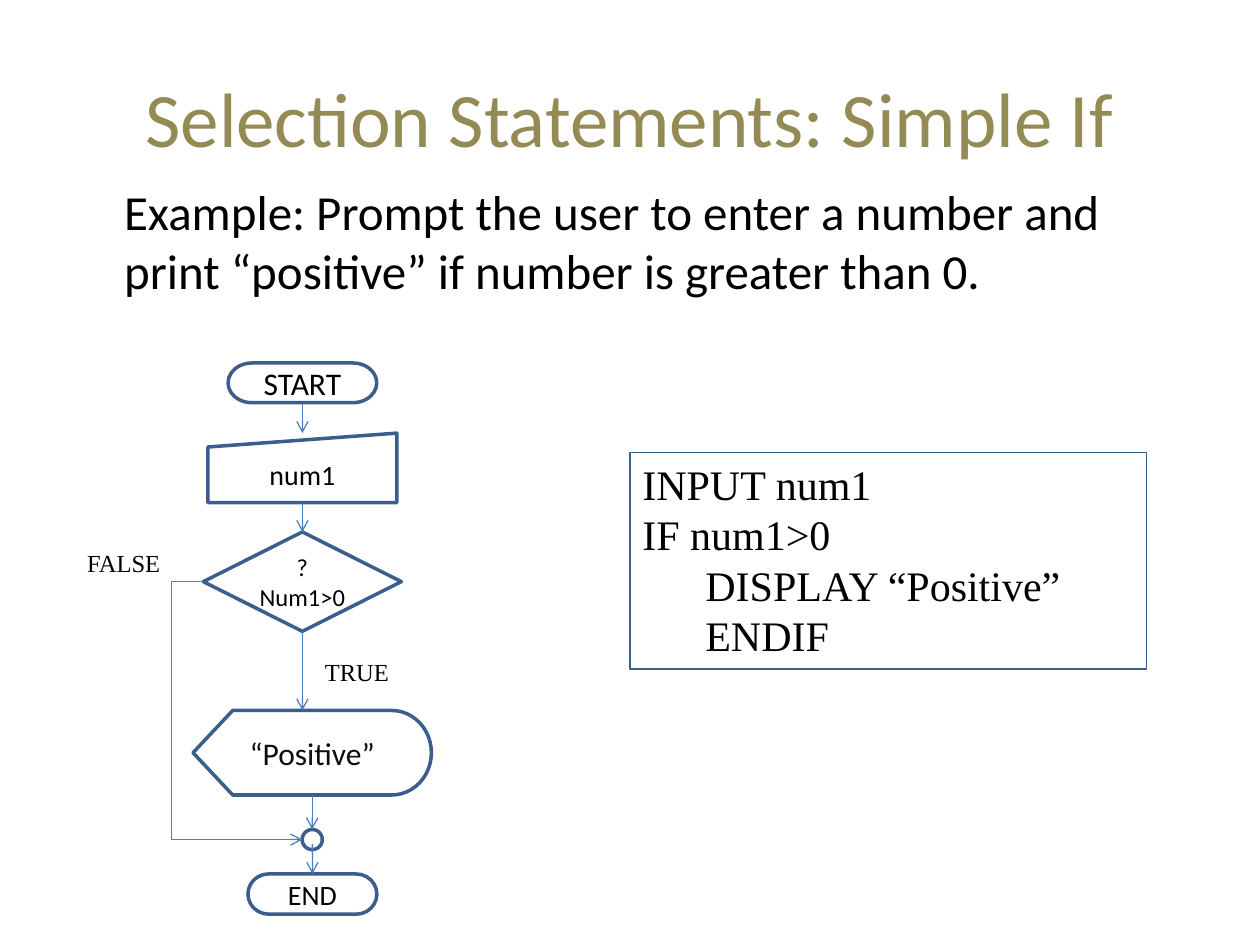
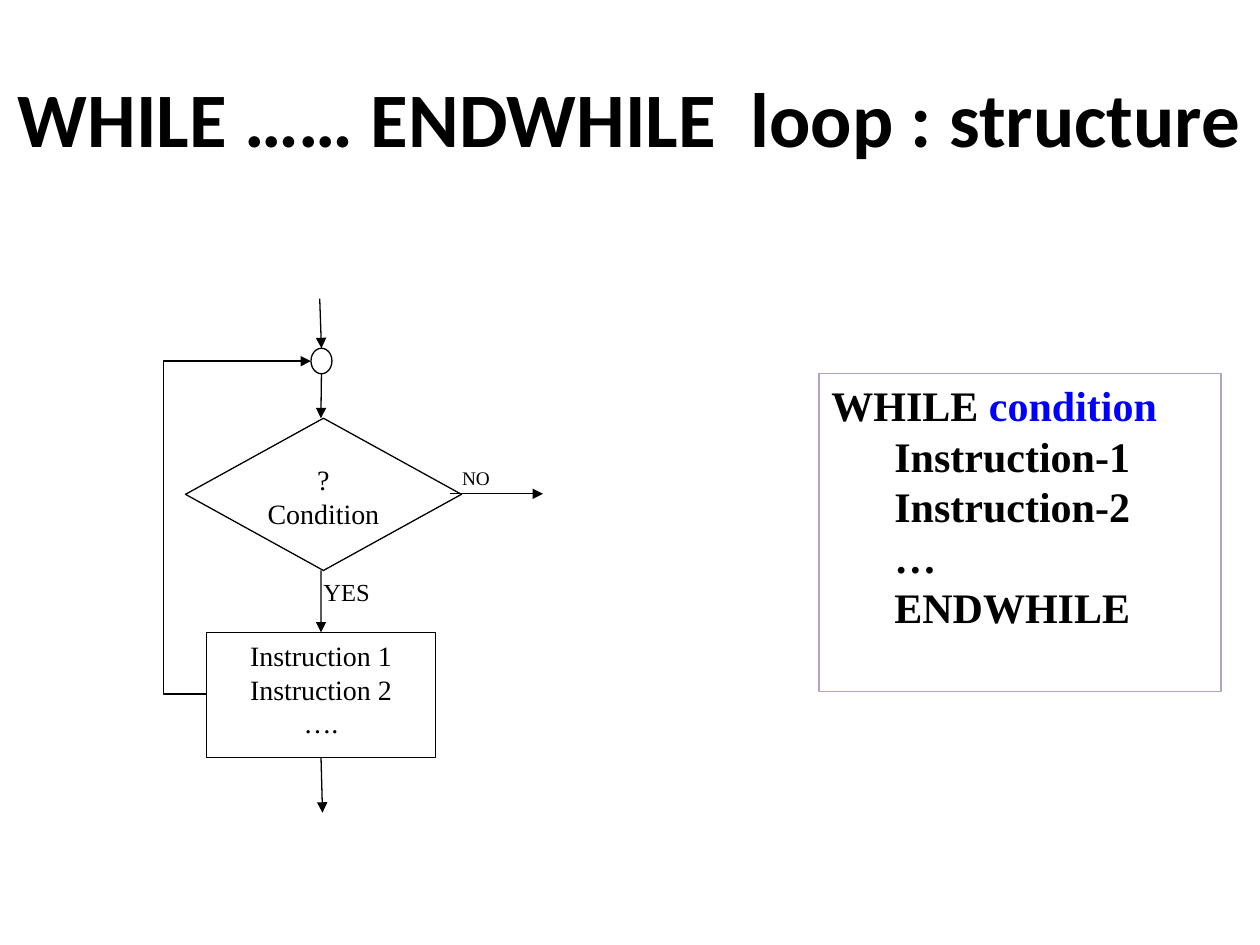
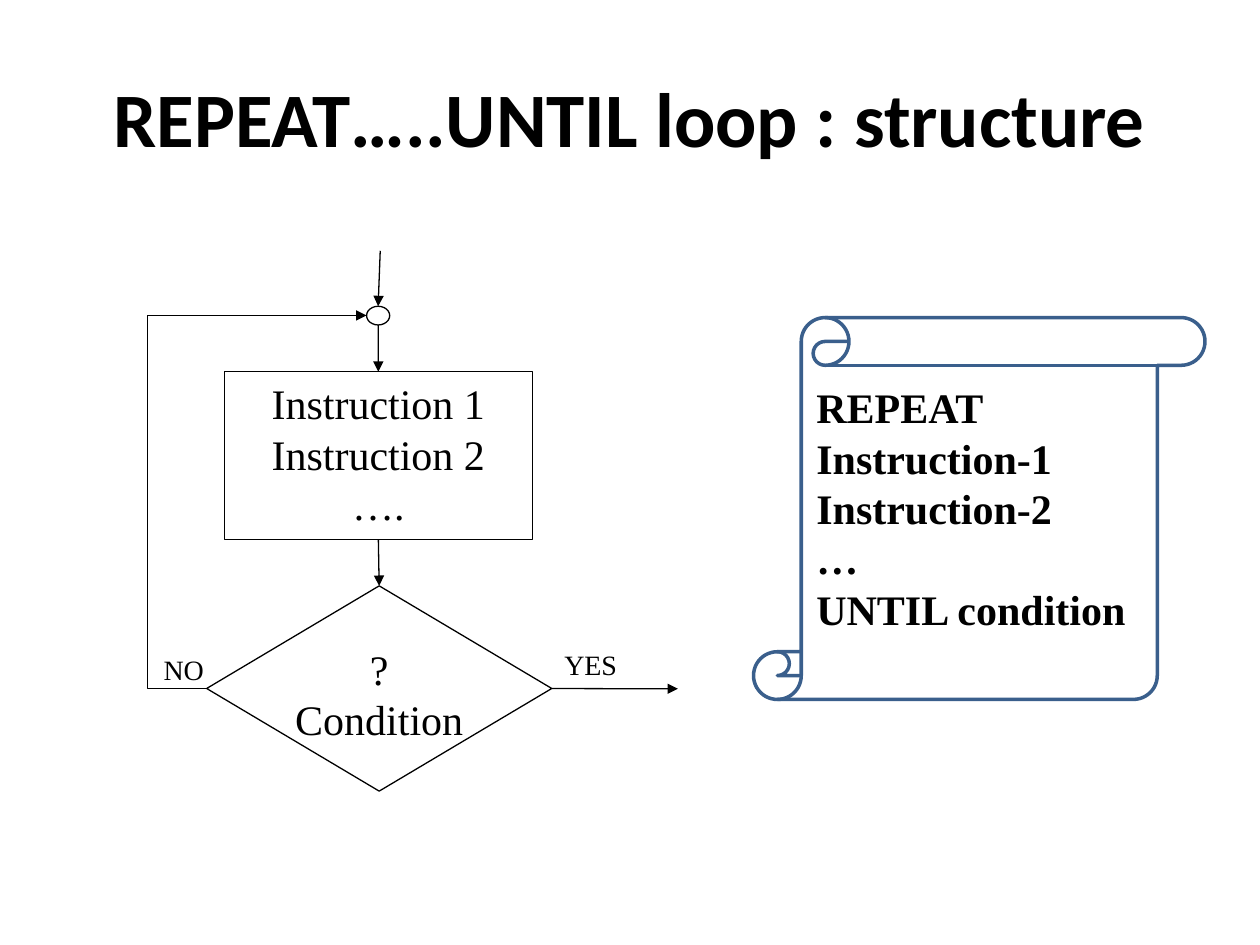
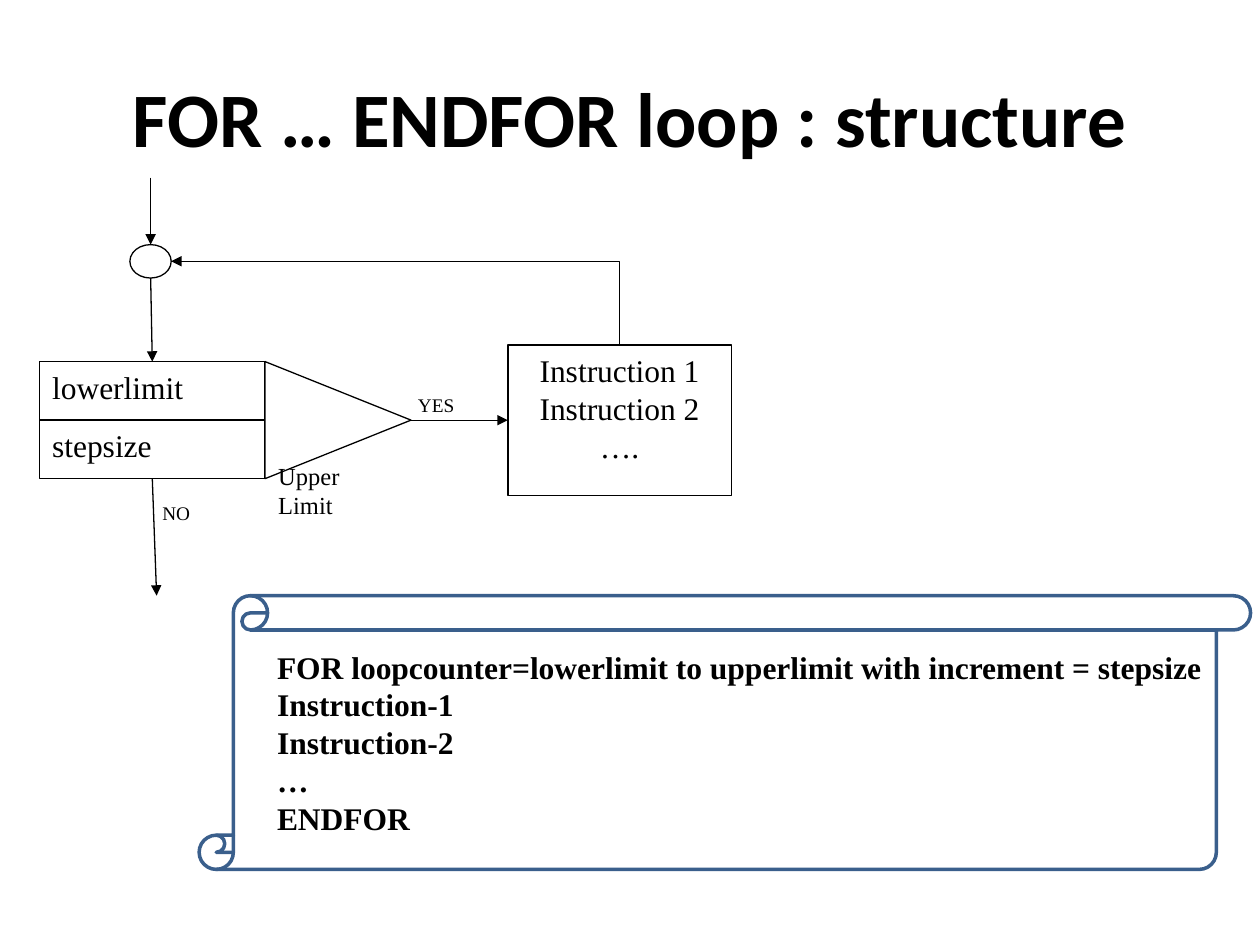
from lxml.etree import SubElement
from pptx import Presentation
from pptx.dml.color import RGBColor
from pptx.enum.shapes import MSO_CONNECTOR as Wire, MSO_SHAPE as Form
from pptx.enum.text import MSO_ANCHOR as Anchor, MSO_AUTO_SIZE as Fit, PP_ALIGN as Align
from pptx.oxml.ns import qn
from pptx.util import Pt

tint = RGBColor.from_string
SERIF, SANS = "Times New Roman", "Calibri"
BLACK, WHITE, BLUE = "000000", "FFFFFF", "3A5F8C"

# Outline looks: line colour, line width, fill
BOLD = (BLUE, 2, None)
THIN = (BLUE, 0.75, None)
LILAC = ("B3A2C7", 0.75, None)
INK = (BLACK, 0.75, WHITE)
# Arrow looks: colour, head
OPEN = ("4B7EBC", "arrow")
SOLID = (BLACK, "triangle")


def put(page, form, box, look=None, text="", size=14, font=SERIF, color=BLACK,
        bold=False, align=Align.LEFT, anchor=Anchor.TOP, side=7.2):
    """Add a preset shape, or a text box when form is None."""
    spot = [Pt(n) for n in box]
    if form is None:
        item = page.shapes.add_textbox(*spot)
    else:
        item = page.shapes.add_shape(form, *spot)
        item.shadow.inherit = False
        edge, width, fill = look
        item.line.color.rgb = tint(edge)
        item.line.width = Pt(width)
        if fill:
            item.fill.solid()
            item.fill.fore_color.rgb = tint(fill)
        else:
            item.fill.background()
    if text:
        frame = item.text_frame
        frame.text = text
        style = {"word_wrap": True, "vertical_anchor": anchor,
                 "margin_left": Pt(side), "margin_right": Pt(side)}
        for key, val in style.items():
            setattr(frame, key, val)
        for para in frame.paragraphs:
            para.alignment = align
            for key, val in {"name": font, "size": Pt(size), "bold": bold}.items():
                setattr(para.runs[0].font, key, val)
            para.runs[0].font.color.rgb = tint(color)
    return item


def link(page, start, end, look=SOLID, bend=None, tip="a:tailEnd"):
    """Join two ends, each a point (x, y) or a (shape, site) pair."""
    kind = Wire.STRAIGHT if bend is None else Wire.ELBOW
    glue = [not isinstance(stop[0], (int, float)) for stop in (start, end)]
    spots = [(0, 0) if g else stop for g, stop in zip(glue, (start, end))]
    wire = page.shapes.add_connector(kind, *[Pt(n) for spot in spots for n in spot])
    if glue[0]:
        wire.begin_connect(*start)
    if glue[1]:
        wire.end_connect(*end)
    color, head = look
    wire.line.color.rgb = tint(color)
    wire.line.width = Pt(0.75)
    props = wire._element.spPr
    SubElement(props.find(qn("a:ln")), qn(tip), type=head)
    SubElement(props, qn("a:effectLst"))
    if bend is not None:
        guides = props.find(qn("a:prstGeom")).find(qn("a:avLst"))
        SubElement(guides, qn("a:gd"), name="adj1", fmla=f"val {round(bend * 100000)}")


deck = Presentation()
deck.slide_width, deck.slide_height = Pt(720), Pt(540)

# Titles: text, layout, left, width, colour, bold
heads = [
    ("Selection Statements: Simple If", 1, 36, 648, "948A54", False),
    ("WHILE …… ENDWHILE  loop : structure", 5, 0, 720, BLACK, True),
    ("REPEAT…..UNTIL loop : structure", 5, 0, 720, BLACK, True),
    ("FOR … ENDFOR loop : structure", 5, 0, 720, BLACK, True),
]
pages = []
for text, layout, left, width, color, bold in heads:
    page = deck.slides.add_slide(deck.slide_layouts[layout])
    title = page.shapes.title
    place = {"left": left, "top": 21.6, "width": width, "height": 90}
    for key, val in place.items():
        setattr(title, key, Pt(val))
    frame = title.text_frame
    frame.text = text
    frame.auto_size = Fit.NONE
    frame.vertical_anchor = Anchor.MIDDLE
    para = frame.paragraphs[0]
    para.alignment = Align.CENTER
    for key, val in {"name": SANS, "size": Pt(44), "bold": bold}.items():
        setattr(para.font, key, val)
    para.font.color.rgb = tint(color)
    pages.append(page)
pick, loop, until, count = pages

mid = {"align": Align.CENTER}
core = {"font": SANS, "anchor": Anchor.MIDDLE, **mid}
steps = "Instruction 1\nInstruction 2\n…."

# Slide 1: simple if
body = pick.placeholders[1]
for key, val in {"left": 36.7, "top": 100, "width": 648, "height": 81.4}.items():
    setattr(body, key, Pt(val))
body.text_frame.text = ("Example: Prompt the user to enter a number and "
                        "print “positive” if number is greater than 0.")
body.text_frame.auto_size = Fit.NONE
para = body.text_frame.paragraphs[0]
para.font.name, para.font.size = SANS, Pt(28)
para.font.color.rgb = tint(BLACK)
props = para._p.get_or_add_pPr()
props.set("marL", str(Pt(27)))
props.set("indent", "0")
SubElement(props, qn("a:buNone"))

start = put(pick, Form.FLOWCHART_TERMINATOR, (130.3, 207.4, 85, 22.7), BOLD,
            "START", 18, **core)
entry = put(pick, Form.FLOWCHART_MANUAL_INPUT, (118.8, 247.5, 108, 39.7), BOLD,
            "num1", 16, **core)
test = put(pick, Form.FLOWCHART_DECISION, (116.2, 304, 113.2, 56.8), BOLD,
           "? Num1>0", 14, side=0, **core)
show = put(pick, Form.FLOWCHART_DISPLAY, (110.3, 406, 136.2, 48.3), BOLD,
           "“Positive”", 18, **{**core, "color": "0D0D0D"})
put(pick, Form.FLOWCHART_CONNECTOR, (172.7, 474, 11.5, 11.5), BOLD)
stop = put(pick, Form.FLOWCHART_TERMINATOR, (141.7, 499.4, 73.7, 23), BOLD,
           "END", 16, **core)
for ends in [((start, 2), (entry, 0)), ((entry, 2), (test, 0)),
             ((test, 2), (172.8, 406)), ((show, 2), (178.4, 474)),
             ((178.5, 482.4), (stop, 0))]:
    link(pick, *ends, OPEN)
link(pick, (116.2, 332.4), (172.7, 479.8), OPEN, bend=-0.32)
put(pick, None, (178.6, 372.2, 67.7, 24.5), text="TRUE")
put(pick, None, (31, 309.6, 67.7, 24.5), text="FALSE", align=Align.RIGHT)
branch = put(pick, Form.RECTANGLE, (360, 258.5, 295.2, 123.8), THIN,
             "INPUT num1\nIF num1>0\nDISPLAY “Positive”\nENDIF", 24)

# Slide 2: while loop
put(loop, None, (177.8, 326.2, 47.5, 27.4), text="YES")
put(loop, None, (257, 262.8, 47.5, 27.4), text="NO", size=11)
test = put(loop, Form.FLOWCHART_DECISION, (106, 239, 157.7, 87), INK,
           "?\nCondition", 16, **mid)
work = put(loop, Form.FLOWCHART_PROCESS, (118.2, 361.4, 130.5, 71.3), INK,
           steps, 16, **mid)
put(loop, Form.OVAL, (177.7, 199, 12, 14.6), INK)
for ends in [((182.7, 170.6), (183.7, 199)), ((183.7, 213.6), (183.4, 239)),
             ((257, 282.2), (310.3, 282.2)), ((183.4, 326), (work, 0)),
             ((work, 2), (184.3, 464.4))]:
    link(loop, *ends)
link(loop, (118.2, 396.7), (177.7, 206.4), bend=-0.42)
cycle = put(loop, Form.RECTANGLE, (468, 213.6, 229.7, 181.6), LILAC,
            "WHILE \nInstruction-1\nInstruction-2\n…\nENDWHILE", 24, bold=True)
run = cycle.text_frame.paragraphs[0].add_run()
run.text = "condition"
for key, val in {"name": SERIF, "size": Pt(24), "bold": True}.items():
    setattr(run.font, key, val)
run.font.color.rgb = tint("0000FF")

for code, first in [(branch, 2), (cycle, 1)]:
    for para in code.text_frame.paragraphs[first:]:
        para._p.get_or_add_pPr().set("marL", str(Pt(36)))

# Slide 3: repeat loop
put(until, Form.VERTICAL_SCROLL, (430.6, 181.5, 258, 218.2), BOLD)
put(until, None, (459.4, 214.6, 206.6, 152.6), size=24, bold=True,
    text="REPEAT\nInstruction-1\nInstruction-2\n…\nUNTIL condition")
put(until, None, (86.4, 369.4, 64, 37.4), text="NO", size=16)
put(until, None, (315.4, 366.7, 64, 37.4), text="YES", size=16)
test = put(until, Form.FLOWCHART_DECISION, (118.1, 334.8, 197.2, 117.3), INK,
           "?\nCondition", 24, side=0, **mid)
work = put(until, Form.FLOWCHART_PROCESS, (128.2, 212.4, 176, 96), INK,
           steps, 24, **mid)
put(until, Form.FLOWCHART_CONNECTOR, (209.5, 175, 13.2, 10.7), INK)
for ends in [((217.3, 143.3), (216.1, 175)), ((216.1, 185.7), (work, 0)),
             ((work, 2), (test, 0)), ((test, 3), (387.4, 393.6))]:
    link(until, *ends)
link(until, (118.1, 393.4), (209.5, 180.3), bend=-0.37)

# Slide 4: for loop
put(count, Form.VERTICAL_SCROLL, (113.8, 340.4, 600.8, 156.4), BOLD)
put(count, None, (151.2, 366.5, 545.8, 116.6), size=18, bold=True,
    text="FOR loopcounter=lowerlimit to upperlimit with increment = stepsize\n"
         "Instruction-1\nInstruction-2\n…\nENDFOR")
put(count, None, (85.7, 283, 57.6, 33.1), text="NO", size=11)
put(count, None, (231.8, 221, 57.6, 33.1), text="YES", size=11)
put(count, Form.FLOWCHART_CONNECTOR, (74.2, 139.8, 23.6, 19.1), INK)
low, step = [
    put(count, Form.FLOWCHART_PROCESS, (22.7, 206.7 + 33.4 * i, 128.7, 33.4), INK, text, 18)
    for i, text in enumerate(["lowerlimit", "stepsize"])
]
wedge = put(count, Form.FLOWCHART_EXTRACT, (159.7, 198.4, 66.9, 83.4), INK)
wedge.rotation = 90
work = put(count, Form.FLOWCHART_PROCESS, (290.2, 197.2, 127.7, 85.8), INK,
           steps, 18, **mid)
for ends in [((86.1, 101.5), (86.1, 139.8)), ((86.1, 158.9), (low, 0)),
             ((234.7, 240.1), (work, 1)), ((step, 2), (89.5, 340.4))]:
    link(count, *ends)
link(count, (97.8, 149.3), (354, 197.2), bend=1, tip="a:headEnd")
put(count, None, (151.9, 259.9, 62.6, 41), text="Upper Limit")

deck.save("out.pptx")
